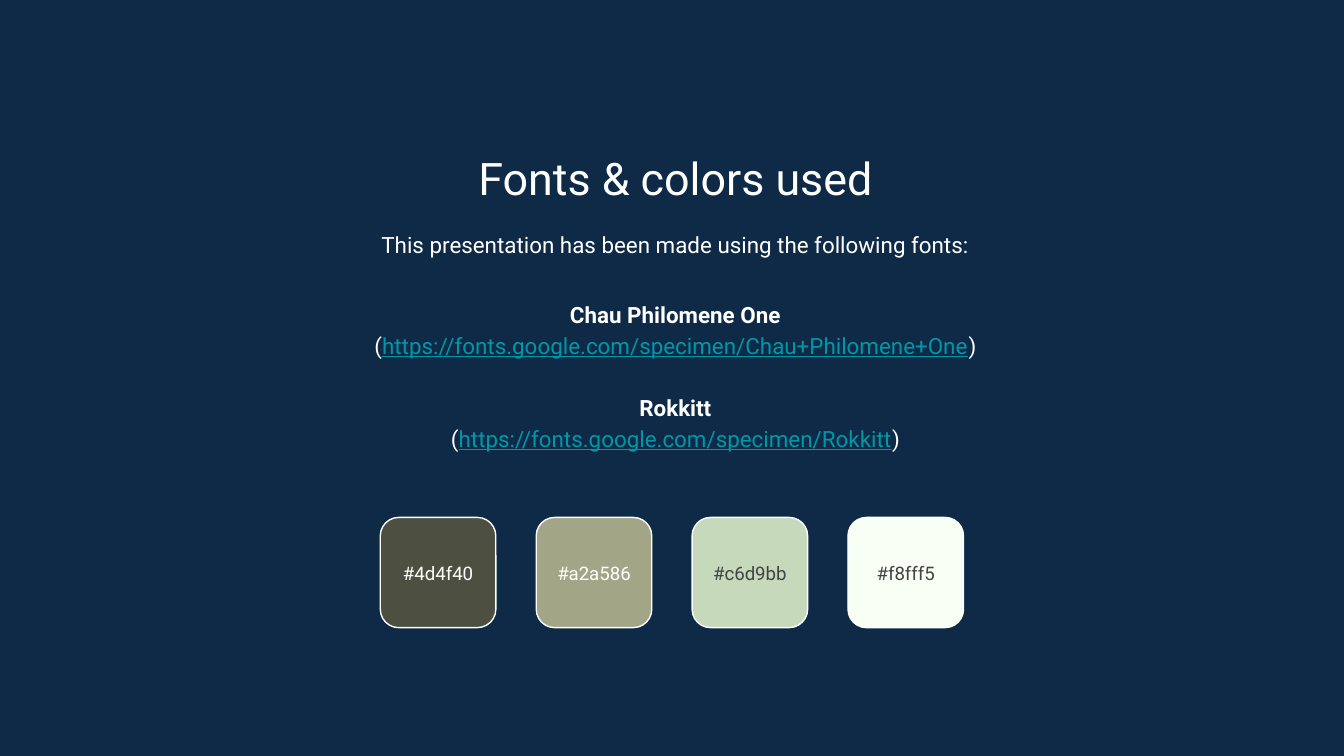
from pptx import Presentation
from pptx.dml.color import RGBColor
from pptx.enum.shapes import MSO_SHAPE
from pptx.enum.text import MSO_ANCHOR, PP_ALIGN
from pptx.util import Inches, Pt

ROUND = MSO_SHAPE.ROUNDED_RECTANGLE
TOP, MIDDLE = MSO_ANCHOR.TOP, MSO_ANCHOR.MIDDLE
CENTER = PP_ALIGN.CENTER

THEME = {
    "font": "Roboto",
    "navy": RGBColor.from_string("0E2A47"),
    "white": RGBColor.from_string("FFFFFF"),
    "dark": RGBColor.from_string("434343"),
    "link": RGBColor.from_string("0097A7"),
    "title": Pt(24),
    "body": Pt(12),
    "label": Pt(10),
    "gap": Pt(16.8),
}

deck = Presentation()
deck.slide_width = Inches(10)
deck.slide_height = deck.slide_width * 9 // 16
slide = deck.slides.add_slide(deck.slide_layouts[6])
slide.background.fill.solid()
slide.background.fill.fore_color.rgb = THEME["navy"]


def style(para, size, color, space=1.0):
    para.alignment = CENTER
    para.line_spacing = space
    for run in para.runs:
        run.font.name = THEME["font"]
        run.font.size = size
        run.font.color.rgb = color


def add_text(left, top, width, height, anchor, text):
    box = slide.shapes.add_textbox(
        Inches(left), Inches(top), Inches(width), Inches(height))
    frame = box.text_frame
    frame.word_wrap = True
    frame.vertical_anchor = anchor
    frame.margin_left = frame.margin_right = Inches(0.1)
    frame.margin_top = frame.margin_bottom = Inches(0.1)
    frame.text = text
    return frame


title = add_text(1.17, 1.02, 7.71, 0.53, TOP, "Fonts & colors used")
style(title.paragraphs[0], THEME["title"], THEME["white"])

intro = add_text(1.17, 1.59, 7.71, 0.48, TOP,
                 "This presentation has been made using the following fonts:")
style(intro.paragraphs[0], THEME["body"], THEME["white"], 1.15)

fonts = [
    ("Chau Philomene One", "https://fonts.google.com/specimen/Chau+Philomene+One"),
    ("Rokkitt", "https://fonts.google.com/specimen/Rokkitt"),
]
frame = add_text(1.17, 2.1, 7.71, 1.37, MIDDLE, "")
for i, (name, url) in enumerate(fonts):
    head = frame.add_paragraph() if i else frame.paragraphs[0]
    head.text = name
    style(head, THEME["body"], THEME["white"], 1.15)
    head.runs[0].font.bold = True
    if i:
        head.space_before = THEME["gap"]
    line = frame.add_paragraph()
    for part in ("(", url, ")"):
        line.add_run().text = part
    style(line, THEME["body"], THEME["white"], 1.15)
    link = line.runs[1].font
    link.color.rgb = THEME["link"]
    link.underline = True

swatches = [("#4d4f40", "white"), ("#a2a586", "white"),
            ("#c6d9bb", "dark"), ("#f8fff5", "dark")]
for i, (code, ink) in enumerate(swatches):
    left = 2.83 + 1.16 * i
    tile = slide.shapes.add_shape(
        ROUND, Inches(left), Inches(3.85), Inches(0.86), Inches(0.82))
    tile.shadow.inherit = False
    tile.fill.solid()
    tile.fill.fore_color.rgb = RGBColor.from_string(code[1:].upper())
    tile.line.color.rgb = THEME["white"]
    tile.line.width = Pt(0.75)
    label = add_text(left, 4.02, 0.86, 0.48, MIDDLE, code)
    style(label.paragraphs[0], THEME["label"], THEME[ink])

deck.save("out.pptx")
